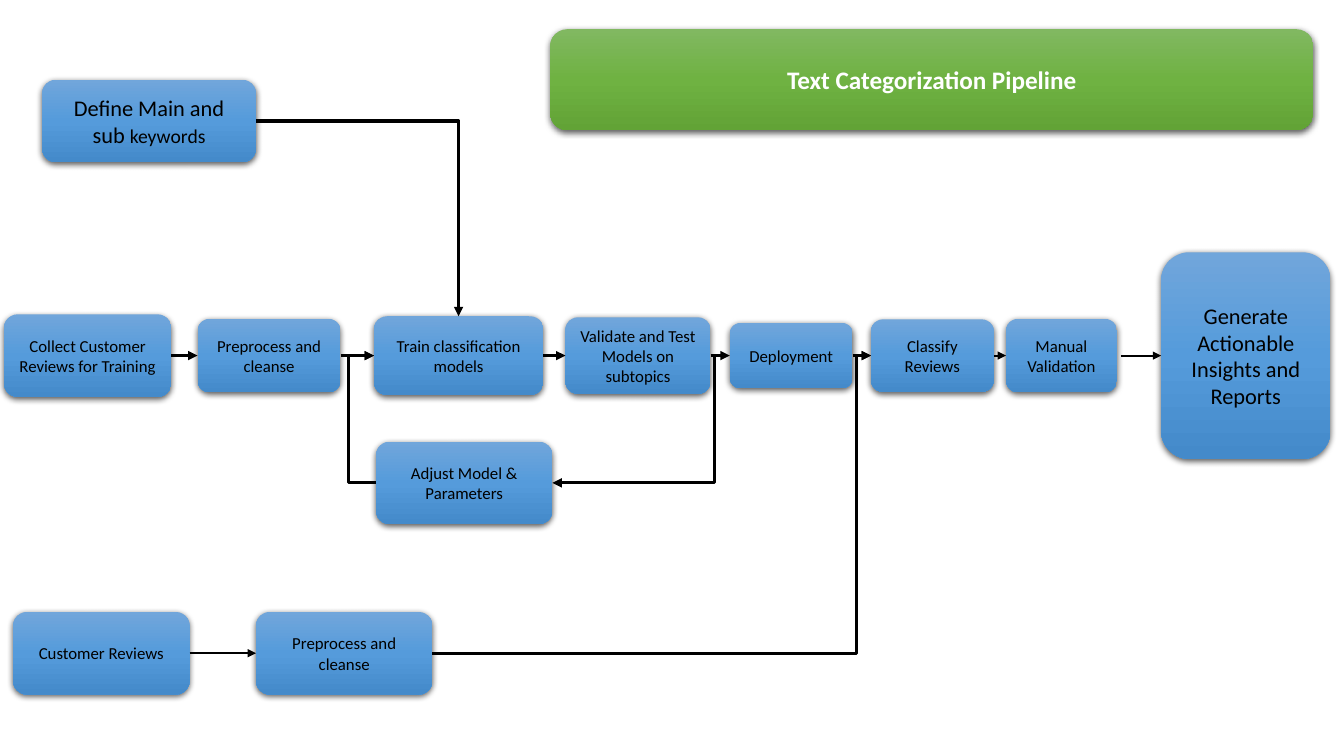
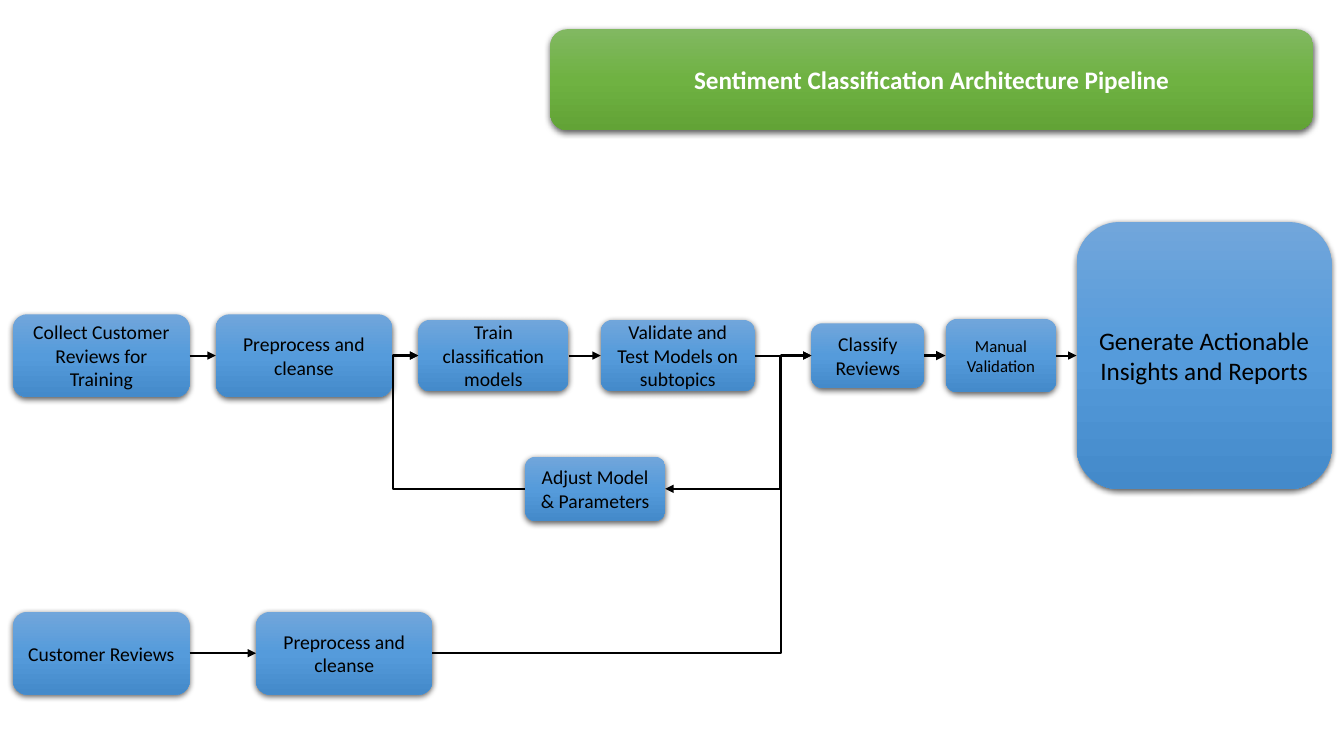
import copy

import pptx
import pptx.dml.color
import pptx.enum.shapes
import pptx.enum.text
import pptx.oxml
import pptx.oxml.ns
import pptx.util
from lxml import etree

Pt = pptx.util.Pt
qn = pptx.oxml.ns.qn

FONT = "Calibri"
BLACK = "000000"
WHITE = "FFFFFF"
BLUE = ("71A6DB", "559BDB", "448ACA")
GREEN = ("81B861", "6FB242", "62A336")
TOP, LEFT, RIGHT = 0, 1, 3
MAIN_ROW = 254
REVIEW_ROW = 466.6


def color(hex_value):
    return pptx.dml.color.RGBColor.from_string(hex_value)


def add_gradient(shape, shades):
    shape.fill.gradient()
    shape.fill.gradient_angle = 270
    stop_list = shape.element.spPr.find(qn("a:gradFill")).find(qn("a:gsLst"))
    stop_list.insert(1, copy.deepcopy(stop_list[0]))
    for index, (stop, shade) in enumerate(zip(shape.fill.gradient_stops, shades)):
        stop.position = index / 2
        stop.color.rgb = color(shade)


def add_shadow(shape):
    shape.shadow.inherit = False
    effects = shape.element.spPr.find(qn("a:effectLst"))
    shadow = etree.SubElement(
        effects, qn("a:outerShdw"), blurRad=str(Pt(4.5)), dist=str(Pt(1.5)),
        dir="5400000", algn="ctr", rotWithShape="0")
    shadow_color = etree.SubElement(shadow, qn("a:srgbClr"), val=BLACK)
    etree.SubElement(shadow_color, qn("a:alpha"), val="63000")


def add_box(slide, runs, left, width, height, middle, shades=BLUE, ink=BLACK, bold=False):
    box = slide.shapes.add_shape(
        pptx.enum.shapes.MSO_SHAPE.ROUNDED_RECTANGLE,
        Pt(left), Pt(middle - height / 2), Pt(width), Pt(height))
    add_gradient(box, shades)
    box.line.fill.background()
    add_shadow(box)
    box.text_frame.word_wrap = True
    box.text_frame.vertical_anchor = pptx.enum.text.MSO_ANCHOR.MIDDLE
    paragraph = box.text_frame.paragraphs[0]
    paragraph.alignment = pptx.enum.text.PP_ALIGN.CENTER
    for wording, size in runs:
        run = paragraph.add_run()
        run.text = wording
        run.font.name = FONT
        run.font.size = Pt(size)
        run.font.bold = bold
        run.font.color.rgb = color(ink)
    return box


def add_title(slide, wording):
    add_box(slide, [(wording, 18)], 393.1, 545, 72, 56.9, GREEN, WHITE, True)


def add_boxes(slide, rows):
    return {
        key: add_box(slide, [(wording, size)], left, width, height, middle)
        for key, wording, size, left, width, height, middle in rows
    }


def add_arrow(slide, source, target, weight, kind="STRAIGHT", target_site=LEFT, gap=0):
    arrow = slide.shapes.add_connector(
        pptx.enum.shapes.MSO_CONNECTOR[kind],
        source.left + source.width + Pt(gap), source.top + source.height // 2,
        target.left, target.top + target.height // 2)
    if not gap:
        arrow.begin_connect(source, RIGHT)
    arrow.end_connect(target, target_site)
    finish_arrow(arrow, weight)
    return arrow


def finish_arrow(arrow, weight):
    arrow.line.color.rgb = color(BLACK)
    arrow.line.width = Pt(weight)
    properties = arrow.element.spPr
    etree.SubElement(properties.find(qn("a:ln")), qn("a:tailEnd"), type="triangle")
    etree.SubElement(properties, qn("a:effectLst"))


def add_bent_arrow(slide, source, source_site, target, target_site, bend, weight):
    arrow = slide.shapes.add_connector(
        pptx.enum.shapes.MSO_CONNECTOR.ELBOW,
        source.left, source.top, target.left, target.top)
    arrow.begin_connect(source, source_site)
    arrow.end_connect(target, target_site)
    share = (Pt(bend) - arrow.begin_x) / (arrow.end_x - arrow.begin_x)
    geometry = arrow.element.spPr.find(qn("a:prstGeom"))
    guides = geometry.find(qn("a:avLst"))
    if guides is None:
        guides = etree.SubElement(geometry, qn("a:avLst"))
    etree.SubElement(guides, qn("a:gd"), name="adj1", fmla=f"val {round(share * 100000)}")
    finish_arrow(arrow, weight)


def add_corner_arrow(slide, source, target, weight):
    arrow = add_arrow(slide, source, target, weight, "ELBOW", TOP)
    arrow.element.spPr.find(qn("a:prstGeom")).set("prst", "bentConnector2")


def add_pipeline(slide, title, steps, size, adjust, weights, bends):
    add_title(slide, title)
    boxes = add_boxes(slide, steps)
    boxes.update(add_boxes(slide, [
        ("adjust", "Adjust Model & Parameters", size, *adjust),
        ("reviews", "Customer Reviews", size, 9.4, 126, 59, REVIEW_ROW),
        ("cleanse", "Preprocess and cleanse", size, 182.9, 126, 59, REVIEW_ROW),
    ]))
    keys = [step[0] for step in steps]
    for source, target, weight in zip(keys, keys[1:], weights):
        gap = 2.9 if (source, target) == ("manual", "report") and "deploy" in keys else 0
        add_arrow(slide, boxes[source], boxes[target], weight, gap=gap)
    add_arrow(slide, boxes["reviews"], boxes["cleanse"], 1.5)
    loops = [
        ("validate", RIGHT, "adjust", RIGHT),
        ("adjust", LEFT, "train", LEFT),
        ("cleanse", RIGHT, "classify", LEFT),
    ]
    for (source, source_site, target, target_site), bend in zip(loops, bends):
        add_bent_arrow(slide, boxes[source], source_site, boxes[target], target_site,
                       bend, weights[0])
    return boxes


def add_categorization(slide):
    steps = [
        ("collect", "Collect Customer Reviews for Training", 12, 2.9, 119.5, 59, MAIN_ROW),
        ("prepare", "Preprocess and cleanse", 12, 141.1, 102.2, 52.6, MAIN_ROW),
        ("train", "Train classification models", 12, 267.1, 121, 56.2, MAIN_ROW),
        ("validate", "Validate and Test Models on subtopics", 12, 403.9, 103.7, 54.7, MAIN_ROW),
        ("deploy", "Deployment", 12, 521.3, 87.8, 46.8, MAIN_ROW),
        ("classify", "Classify Reviews", 12, 622.1, 87.8, 51.8, MAIN_ROW),
        ("manual", "Manual Validation", 12, 718.6, 79.2, 52.6, MAIN_ROW),
        ("report", "Generate Actionable Insights and Reports", 16, 829.4, 121, 147.6, MAIN_ROW),
    ]
    boxes = add_pipeline(
        slide, "Text Categorization Pipeline", steps, 12, (268.6, 126, 59, 344.9),
        [2.25] * 5 + [1.5] * 2, (510.5, 249.1, 612))
    keywords = add_box(slide, [("Define Main and sub ", 16), ("keywords", 14)],
                       30.2, 152.6, 59, 86.4)
    add_corner_arrow(slide, keywords, boxes["train"], 2.25)


def add_sentiment(slide):
    steps = [
        ("collect", "Collect Customer Reviews for Training", 14, 9.4, 126, 59, MAIN_ROW),
        ("prepare", "Preprocess and cleanse", 14, 154.1, 126, 59, MAIN_ROW),
        ("train", "Train classification models", 14, 298.8, 107.3, 51.1, MAIN_ROW),
        ("validate", "Validate and Test Models on subtopics", 14, 429.1, 110.2, 51.1, MAIN_ROW),
        ("classify", "Classify Reviews", 14, 579.6, 80.6, 46.1, MAIN_ROW),
        ("manual", "Manual Validation", 12, 675.4, 79.2, 52.6, MAIN_ROW),
        ("report", "Generate Actionable Insights and Reports", 18, 769, 182.2, 190.8, MAIN_ROW),
    ]
    add_pipeline(
        slide, "Sentiment Classification Architecture Pipeline", steps, 14,
        (375.1, 100.1, 46.1, 349.2), [1.5] * 4 + [2.25, 1.5], (557.6, 280.8, 558))


def main():
    deck = pptx.Presentation()
    deck.slide_width = Pt(960)
    deck.slide_height = Pt(540)
    for build in (add_categorization, add_sentiment):
        build(deck.slides.add_slide(deck.slide_layouts[6]))
    deck.save("out.pptx")


main()
